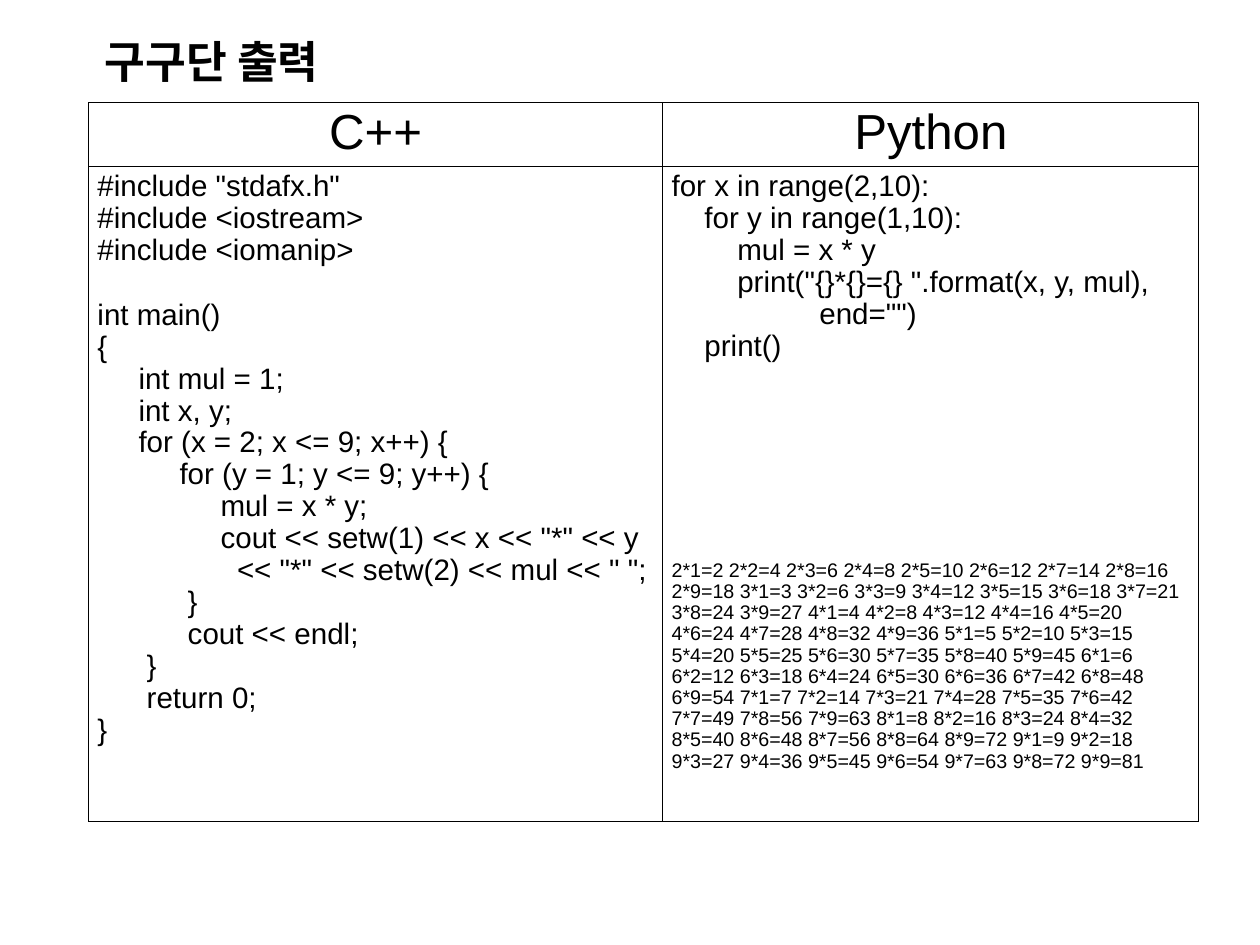
from lxml.etree import SubElement
from pptx import Presentation
from pptx.dml.color import RGBColor
from pptx.enum.text import MSO_ANCHOR as Anchor, PP_ALIGN as Align
from pptx.oxml.ns import qn
from pptx.util import Inches, Pt

HEADING = "구구단 출력"
LANGUAGES = ["C++", "Python"]
CPP_CODE = [
    (0, '#include "stdafx.h"'),
    (0, "#include <iostream>"),
    (0, "#include <iomanip>"),
    (0, "int main()"),
    (0, "{"),
    (5, "int mul = 1;"),
    (5, "int x, y;"),
    (5, "for (x = 2; x <= 9; x++) {"),
    (10, "for (y = 1; y <= 9; y++) {"),
    (15, "mul = x * y;"),
    (15, 'cout << setw(1) << x << "*" << y'),
    (17, '<< "*" << setw(2) << mul << " ";'),
    (11, "}"),
    (11, "cout << endl;"),
    (6, "}"),
    (6, "return 0;"),
    (0, "}"),
]
PYTHON_CODE = [
    (0, "for x in range(2,10):"),
    (4, "for y in range(1,10):"),
    (8, "mul = x * y"),
    (8, 'print("{}*{}={} ".format(x, y, mul),'),
    (18, 'end="")'),
    (4, "print()"),
]
PRODUCTS = " ".join(f"{x}*{y}={x * y}" for x in range(2, 10) for y in range(1, 10))

COLORS = {"ink": "000000"}
FONT = "Arial"
HEADING_FORMAT = {"size": Pt(36), "bold": True, "name": FONT}
LANGUAGE_FORMAT = {"size": Pt(40), "bold": False, "name": FONT}
CODE_FORMAT = {"size": Pt(24), "bold": False, "name": FONT}
PRODUCTS_FORMAT = {"size": Pt(16), "bold": False, "name": FONT}
LINE_SPACING = 0.97
CODE_LINE = 26.8
CODE_SPACE = 6.67
GAP_LINES = {"int main()": 1, PRODUCTS: 6}
COLUMN_WIDTHS = [6.48, 6.05]
ROW_HEIGHTS = [0.72, 7.4]


def write(paragraph, text, font_format, align=Align.LEFT):
    paragraph.alignment = align
    run = paragraph.add_run()
    run.text = text
    for key, value in font_format.items():
        setattr(run.font, key, value)
    run.font.color.rgb = RGBColor.from_string(COLORS["ink"])


def write_lines(cell, lines, align=Align.LEFT):
    frame = cell.text_frame
    for number, (spaces, text, font_format) in enumerate(lines):
        paragraph = frame.add_paragraph() if number else frame.paragraphs[0]
        write(paragraph, text, font_format, align)
        paragraph.line_spacing = LINE_SPACING
        paragraph.space_before = Pt(CODE_LINE * GAP_LINES.get(text, 0))
        properties = paragraph._p.get_or_add_pPr()
        properties.set("marL", str(Pt(CODE_SPACE * spaces)))
        properties.set("indent", "0")


def frame_cell(cell):
    properties = cell._tc.get_or_add_tcPr()
    for side in ("lnL", "lnR", "lnT", "lnB"):
        border = SubElement(properties, qn(f"a:{side}"), w=str(Pt(1)))
        fill = SubElement(border, qn("a:solidFill"))
        SubElement(fill, qn("a:srgbClr"), val=COLORS["ink"])
    cell.fill.background()


def main():
    deck = Presentation()
    deck.slide_width, deck.slide_height = Inches(14.22), Inches(10.67)
    slide = deck.slides.add_slide(deck.slide_layouts[5])

    heading = slide.shapes.title
    heading.left, heading.top = Inches(1), Inches(0.33)
    heading.width, heading.height = Inches(2.78), Inches(0.72)
    frame = heading.text_frame
    frame.word_wrap = False
    frame.vertical_anchor = Anchor.MIDDLE
    for side in ("left", "right", "top", "bottom"):
        setattr(frame, f"margin_{side}", Inches(0.06))
    write(frame.paragraphs[0], HEADING, HEADING_FORMAT, Align.CENTER)

    comparison = slide.shapes.add_table(
        2, 2, Inches(1), Inches(1.16),
        Inches(sum(COLUMN_WIDTHS)), Inches(sum(ROW_HEIGHTS)),
    ).table
    comparison.first_row = comparison.horz_banding = False
    for column, width in zip(comparison.columns, COLUMN_WIDTHS):
        column.width = Inches(width)
    for row, height in zip(comparison.rows, ROW_HEIGHTS):
        row.height = Inches(height)

    cpp, python = [
        [(spaces, text, CODE_FORMAT) for spaces, text in code]
        for code in (CPP_CODE, PYTHON_CODE)
    ]
    python.append((0, PRODUCTS, PRODUCTS_FORMAT))
    for column, (language, code) in enumerate(zip(LANGUAGES, (cpp, python))):
        write_lines(comparison.cell(0, column), [(0, language, LANGUAGE_FORMAT)], Align.CENTER)
        write_lines(comparison.cell(1, column), code)
    for cell in comparison.iter_cells():
        frame_cell(cell)

    deck.save("out.pptx")


if __name__ == "__main__":
    main()
